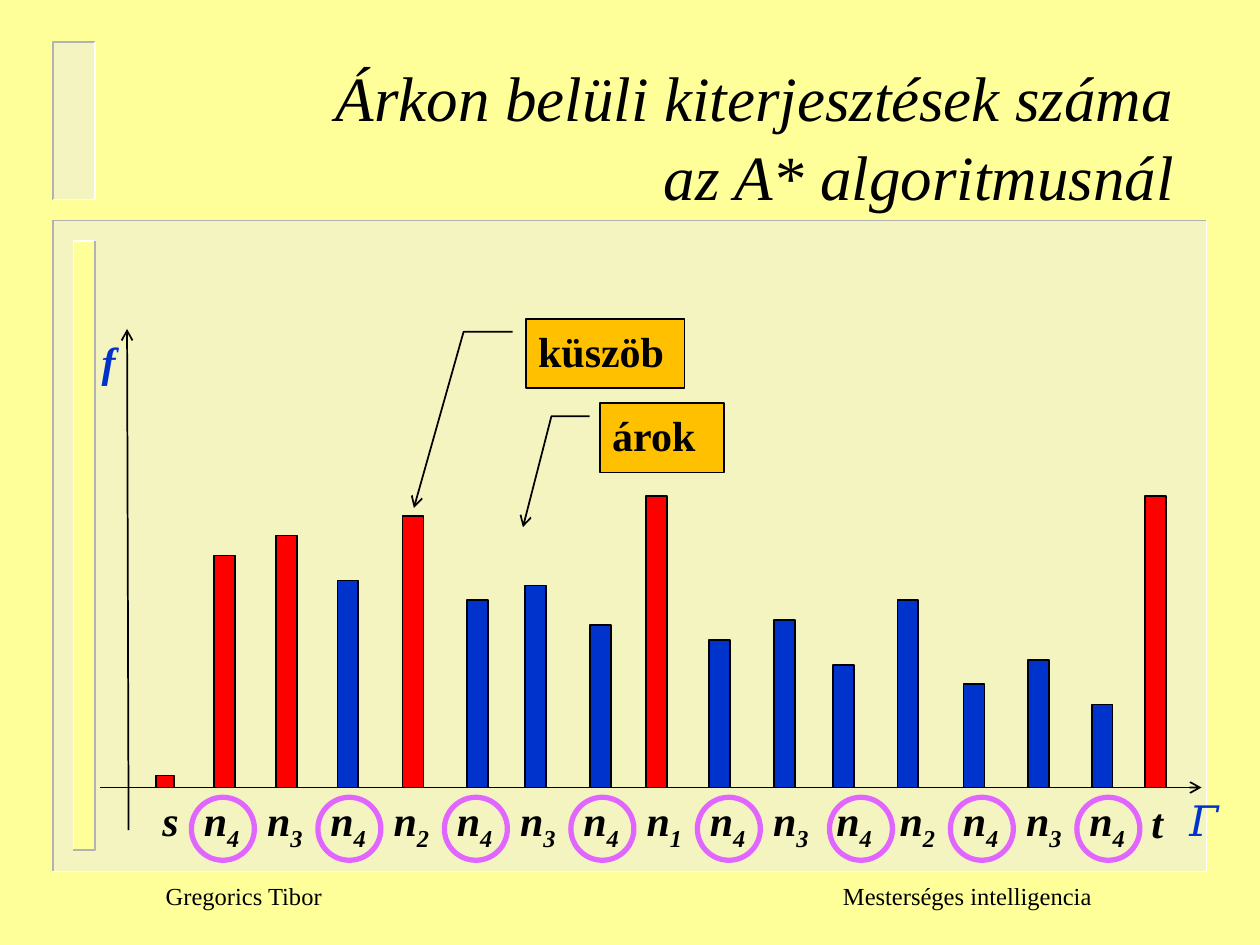
from typing import NamedTuple

from pptx import Presentation
from pptx.dml.color import RGBColor
from pptx.enum.shapes import MSO_CONNECTOR, MSO_SHAPE
from pptx.enum.text import MSO_ANCHOR, PP_ALIGN
from pptx.oxml.ns import qn
from pptx.oxml.xmlchemy import OxmlElement
from pptx.util import Pt

COLORS = {
    "page": "FFFF99", "panel": "EAEAEA", "shade": "B2B2B2", "light": "FFFFFF",
    "ink": "000000", "note": "FFC000", "threshold": "FF0000",
    "ditch": "0033CC", "ring": "E066FF",
}
FONT = "Times New Roman"
AXIS_Y = 450
LABEL_Y = 450.7
LABEL_X, LABEL_STEP = 109.4, 36.14


class Expansion(NamedTuple):
    name: str
    index: str
    bar_x: float
    height: float
    color: str = "ditch"
    label_x: float | None = None
    label_y: float = LABEL_Y
    bar_width: float = 12
    ring_shift: float = 0


class Callout(NamedTuple):
    text: str
    box: tuple[float, float, float, float]
    adjustments: tuple[float, ...]


class Panel(NamedTuple):
    box: tuple[float, float, float, float]
    fill: str
    alpha: int
    first: str    # colour of the top left edge
    second: str   # colour of the bottom right edge


EXPANSIONS = [
    Expansion("s", "", 89.2, 6.8, "threshold", 85.7, bar_width=10.4),
    Expansion("n", "4", 122.2, 132.5, "threshold"),
    Expansion("n", "3", 157.9, 144, "threshold"),
    Expansion("n", "4", 192.8, 118.3),
    Expansion("n", "2", 230, 155.2, "threshold"),
    Expansion("n", "4", 266.8, 107.2),
    Expansion("n", "3", 300.2, 115.4),
    Expansion("n", "4", 337, 92.9),
    Expansion("n", "1", 369, 166.5, "threshold"),
    Expansion("n", "4", 405, 84.3),
    Expansion("n", "3", 442.2, 95.8),
    Expansion("n", "4", 476, 70, ring_shift=3.2),
    Expansion("n", "2", 512.8, 107.2),
    Expansion("n", "4", 550.6, 59),
    Expansion("n", "3", 587.6, 72.8),
    Expansion("n", "4", 623.8, 47.4),
    Expansion("t", "", 654.4, 166.5, "threshold", 650.9, 451.4),
]
CALLOUTS = [
    Callout("küszöb", (300.4, 182.2, 90.8, 39.6),
            (0.188, -0.083, 0.188, -0.391, 2.728, -0.704)),
    Callout("árok", (342.8, 230.4, 70.8, 39.6),
            (0.188, -0.083, 0.188, -0.391, 1.79, -0.621)),
]
PANELS = [
    Panel((30.4, 126, 659, 372), "panel", 50, "shade", "light"),
    Panel((42, 137.6, 12.2, 348.2), "page", 100, "light", "shade"),
    Panel((30.2, 24, 24.2, 90), "panel", 50, "shade", "light"),
]


def rgb(name: str) -> RGBColor:
    return RGBColor.from_string(COLORS[name])


def set_line(shape, color: str, width: float = 1, arrow: bool = False) -> None:
    shape.line.color.rgb = rgb(color)
    shape.line.width = Pt(width)
    if arrow:
        tail = OxmlElement("a:tailEnd")
        tail.set("type", "arrow")
        shape._element.spPr.find(qn("a:ln")).append(tail)


def add_run(p, text: str, size: float = 24, color: str = "ink", bold: bool = True,
            italic: bool = False, font: str = FONT, sub: bool = False) -> None:
    r = p.add_run()
    r.text = text
    r.font.size, r.font.name = Pt(size), font
    r.font.bold, r.font.italic = bold, italic
    r.font.color.rgb = rgb(color)
    if sub:
        r._r.get_or_add_rPr().set("baseline", "-25000")


def add_text(s, x: float, y: float, w: float, h: float = 36):
    tf = s.shapes.add_textbox(Pt(x), Pt(y), Pt(w), Pt(h)).text_frame
    tf.word_wrap = False
    return tf.paragraphs[0]


def add_box(s, kind, x: float, y: float, w: float, h: float, fill: str | None):
    sp = s.shapes.add_shape(kind, Pt(x), Pt(y), Pt(w), Pt(h))
    sp.shadow.inherit = False
    if fill:
        sp.fill.solid()
        sp.fill.fore_color.rgb = rgb(fill)
    else:
        sp.fill.background()
    return sp


def add_edge(s, points: list[tuple[float, float]], color: str) -> None:
    corners = [(Pt(x), Pt(y)) for x, y in points]
    builder = s.shapes.build_freeform(*corners[0])
    builder.add_line_segments(corners[1:], close=False)
    sp = builder.convert_to_shape()
    sp.shadow.inherit = False
    sp.fill.background()
    set_line(sp, color)


def add_panel(s, panel: Panel) -> None:
    x, y, w, h = panel.box
    sp = add_box(s, MSO_SHAPE.RECTANGLE, x, y, w, h, panel.fill)
    sp.line.fill.background()
    if panel.alpha < 100:
        alpha = OxmlElement("a:alpha")
        alpha.set("val", str(panel.alpha * 1000))
        sp._element.spPr.find(".//" + qn("a:srgbClr")).append(alpha)
    start, end = (x + w, y), (x, y + h)
    add_edge(s, [start, (x, y), end], panel.first)
    add_edge(s, [start, (x + w, y + h), end], panel.second)


def add_callout(s, callout: Callout) -> None:
    sp = add_box(s, MSO_SHAPE.LINE_CALLOUT_2, *callout.box, "note")
    for i, value in enumerate(callout.adjustments):
        sp.adjustments[i] = value
    set_line(sp, "ink", arrow=True)
    tf = sp.text_frame
    tf.vertical_anchor = MSO_ANCHOR.TOP
    p = tf.paragraphs[0]
    p.alignment = PP_ALIGN.LEFT
    add_run(p, callout.text)


def add_axis(s, x1: float, y1: float, x2: float, y2: float) -> None:
    line = s.shapes.add_connector(MSO_CONNECTOR.STRAIGHT, Pt(x1), Pt(y1), Pt(x2), Pt(y2))
    set_line(line, "ink", arrow=True)
    line._element.spPr.append(OxmlElement("a:effectLst"))


def add_expansion(s, item: Expansion, position: int) -> None:
    x = item.label_x or LABEL_X + (position - 1) * LABEL_STEP
    bar = add_box(s, MSO_SHAPE.RECTANGLE, item.bar_x, AXIS_Y - item.height,
                  item.bar_width, item.height, item.color)
    set_line(bar, "ink")
    p = add_text(s, x, item.label_y, 36 if item.index else 22)
    add_run(p, item.name, italic=True)
    if item.index:
        add_run(p, item.index, italic=True, sub=True)
    if item.index == "4":
        ring = add_box(s, MSO_SHAPE.OVAL, x + item.ring_shift, 455.6, 36, 36, None)
        set_line(ring, "ring", 3)


def main() -> None:
    prs = Presentation()
    prs.slide_width, prs.slide_height = Pt(720), Pt(540)
    s = prs.slides.add_slide(prs.slide_layouts[5])
    s.background.fill.solid()
    s.background.fill.fore_color.rgb = rgb("page")

    # Bevelled panels
    for panel in PANELS:
        add_panel(s, panel)

    # Title
    title = s.shapes.title
    title.left, title.top, title.width, title.height = Pt(66), Pt(27.4), Pt(612), Pt(87)
    tf = title.text_frame
    tf.vertical_anchor = MSO_ANCHOR.TOP
    for i, text in enumerate(("Árkon belüli kiterjesztések száma", "az A* algoritmusnál")):
        p = tf.add_paragraph() if i else tf.paragraphs[0]
        p.alignment = PP_ALIGN.RIGHT
        p.line_spacing = 1.05
        add_run(p, text, 36, bold=False, italic=True)

    # Footer with a tab between the two names
    p = add_text(s, 87.6, 500, 552, 32)
    tabs = OxmlElement("a:tabLst")
    tab = OxmlElement("a:tab")
    tab.set("pos", str(Pt(387)))
    tab.set("algn", "l")
    tabs.append(tab)
    p._p.get_or_add_pPr().append(tabs)
    add_run(p, "Gregorics Tibor\tMesterséges intelligencia", 14, bold=False)

    # Callouts, axes and expansions
    for callout in CALLOUTS:
        add_callout(s, callout)
    add_axis(s, 57.4, AXIS_Y, 686.6, AXIS_Y)
    add_axis(s, 73.5, 474.4, 72.6, 188)
    for position, item in enumerate(EXPANSIONS):
        add_expansion(s, item, position)
    add_run(add_text(s, 672.5, LABEL_Y, 29), "𝛤", color="ditch", font="Cambria")
    add_run(add_text(s, 51, 188, 22), "f", color="ditch", italic=True)

    prs.save("out.pptx")


if __name__ == "__main__":
    main()
